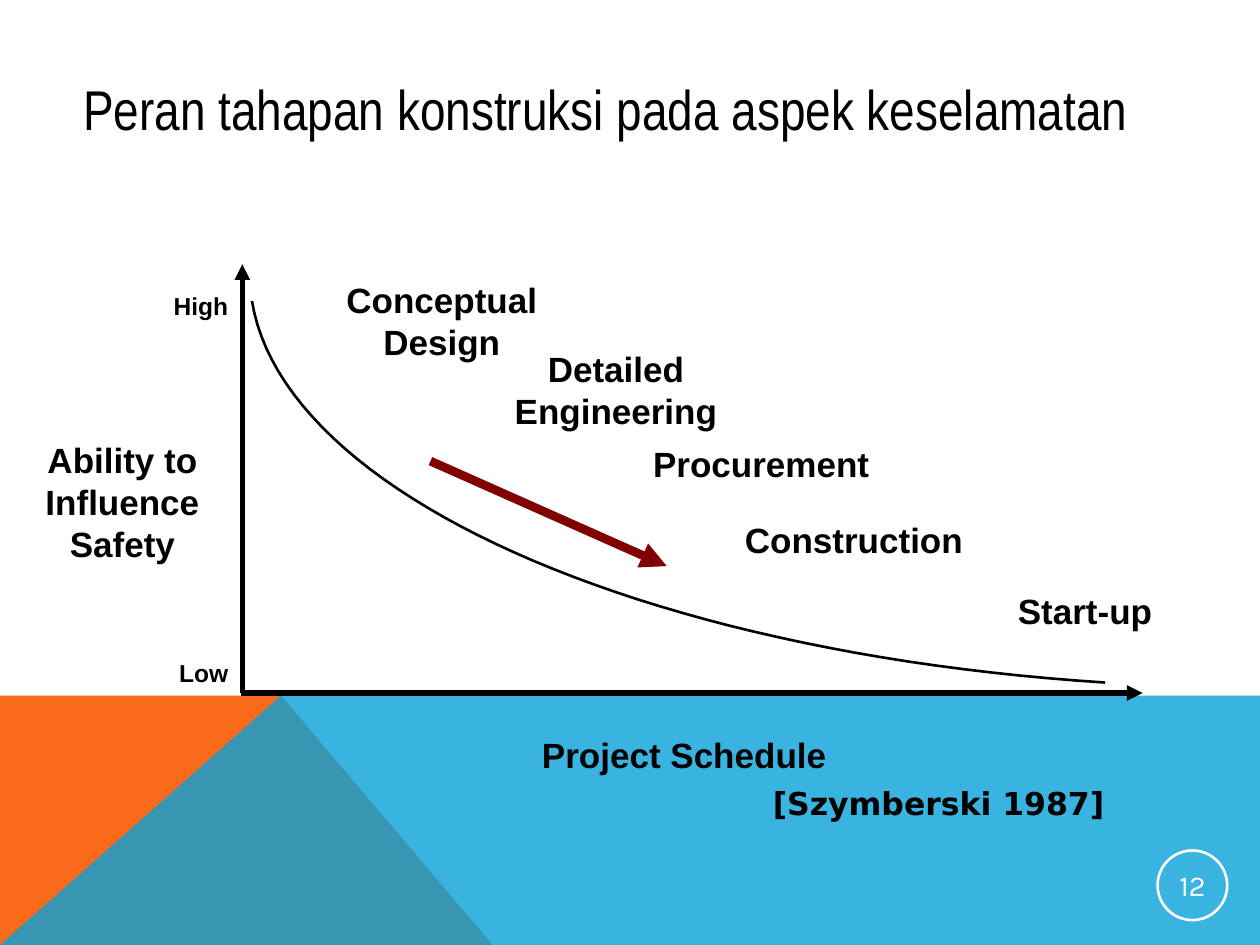
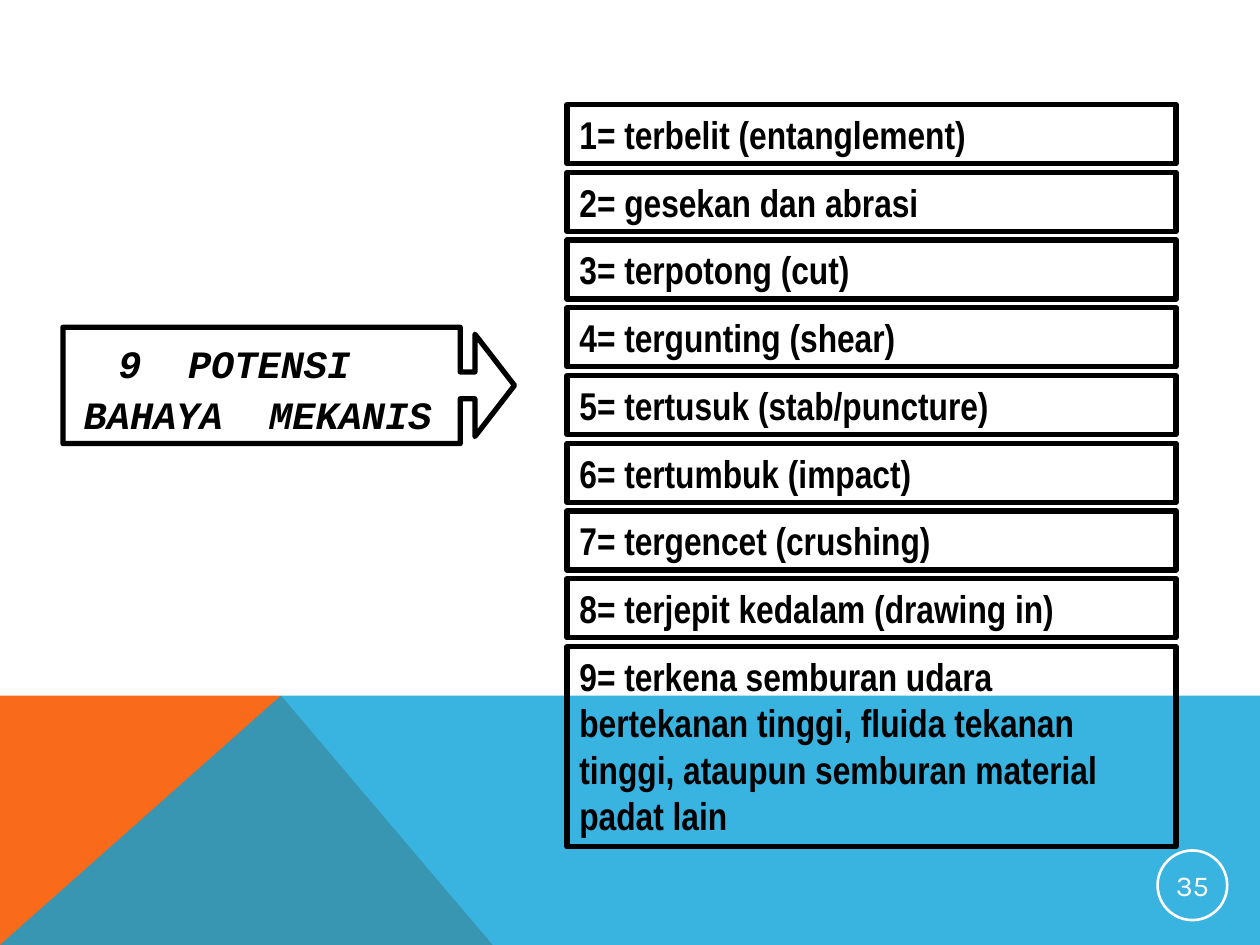
"""Build two slides on construction safety: influence curve and mechanical hazards."""
from dataclasses import dataclass

import pptx
import pptx.util
import pptx.dml.color
import pptx.enum.shapes
import pptx.enum.text
import pptx.oxml
import pptx.oxml.ns
from lxml import etree

Pt = pptx.util.Pt
Shape = pptx.enum.shapes.MSO_SHAPE
Align = pptx.enum.text.PP_ALIGN
Anchor = pptx.enum.text.MSO_ANCHOR


@dataclass(frozen=True)
class Theme:
    black: str = "000000"
    white: str = "FFFFFF"
    orange: str = "F96A1B"
    blue: str = "08A1D9"
    red: str = "800000"
    sans: str = "Arial"
    narrow: str = "Arial Narrow"
    mono: str = "Courier New"
    source: str = "DejaVu Sans"
    number: str = "Karla"
    title_size: float = 32
    hazard_size: float = 22.1
    label_size: float = 20
    source_size: float = 18
    number_size: float = 16.5
    tick_size: float = 14
    heavy: float = 3
    thin: float = 1.5


THEME = Theme()
WIDTH, HEIGHT, BAND_TOP = 720, 540, 397.5
HAZARDS = (
    "terbelit (entanglement)",
    "gesekan dan abrasi",
    "terpotong (cut)",
    "tergunting (shear)",
    "tertusuk (stab/puncture)",
    "tertumbuk (impact)",
    "tergencet (crushing)",
    "terjepit kedalam (drawing in)",
    "terkena semburan udara bertekanan tinggi, fluida tekanan tinggi, "
    "ataupun semburan material padat lain",
)
LABELS = (
    ("Conceptual Design", 252.5, 183, 160),
    ("Detailed Engineering", 352, 222.5, 160),
    ("Procurement", 435, 265, 150),
    ("Construction", 488, 308, 150),
    ("Start-up", 620, 349, 110),
    ("Ability to Influence Safety", 70, 286.5, 116),
    ("Project Schedule", 391, 431, 194),
)


def rgb(code):
    return pptx.dml.color.RGBColor.from_string(code)


def bezier(start, first, second, end, steps=48):
    points = []
    for step in range(steps + 1):
        t = step / steps
        weights = ((1 - t) ** 3, 3 * t * (1 - t) ** 2, 3 * t * t * (1 - t), t ** 3)
        points.append(tuple(
            sum(weight * value for weight, value in zip(weights, values))
            for values in zip(start, first, second, end)
        ))
    return points


class Painter:
    def __init__(self, deck, theme):
        self.deck = deck
        self.theme = theme
        self.page = None

    def new_page(self, title=None):
        layout = self.deck.slide_layouts[5 if title else 6]
        self.page = self.deck.slides.add_slide(layout)
        middle, peak = 281.5, 160.6
        self.outline(((0, HEIGHT), (0, BAND_TOP), (peak, BAND_TOP), (middle, HEIGHT)),
                     fill=self.theme.orange)
        self.outline(((0, HEIGHT), (peak, BAND_TOP), (WIDTH, BAND_TOP), (WIDTH, HEIGHT)),
                     fill=self.theme.blue, opacity=80)
        if title:
            self.title(title)

    def title(self, text):
        box = self.page.shapes.title
        box.left, box.top, box.width, box.height = Pt(40.3), Pt(39), Pt(618), Pt(46)
        self.set_text(box, text, self.theme.narrow, self.theme.title_size, wrap=False)

    def set_text(self, box, text, font, size, bold=False, align=Align.LEFT,
                 anchor=Anchor.MIDDLE, color=None, wrap=True):
        frame = box.text_frame
        frame.word_wrap = wrap
        frame.vertical_anchor = anchor
        frame.text = text
        self.style(frame.paragraphs[0], font, size, bold, align, color)

    def style(self, para, font, size, bold, align, color=None):
        para.alignment = align
        para.space_before = Pt(0)
        para.font.name = font
        para.font.size = Pt(size)
        para.font.bold = bold
        para.font.color.rgb = rgb(color or self.theme.black)

    def label(self, text, left, top, width, height, **look):
        box = self.page.shapes.add_textbox(Pt(left), Pt(top), Pt(width), Pt(height))
        self.set_text(box, text, **look)

    def paint(self, shape, fill=None, line=None, weight=0):
        shape.shadow.inherit = False
        if fill:
            shape.fill.solid()
            shape.fill.fore_color.rgb = rgb(fill)
        else:
            shape.fill.background()
        if line:
            shape.line.color.rgb = rgb(line)
            shape.line.width = Pt(weight)
        else:
            shape.line.fill.background()

    def preset(self, kind, left, top, width, height, **paint):
        shape = self.page.shapes.add_shape(kind, Pt(left), Pt(top), Pt(width), Pt(height))
        self.paint(shape, **paint)
        return shape

    def outline(self, points, close=True, opacity=100, **paint):
        points = [(Pt(x), Pt(y)) for x, y in points]
        builder = self.page.shapes.build_freeform(*points[0])
        builder.add_line_segments(points[1:], close=close)
        shape = builder.convert_to_shape()
        self.paint(shape, **paint)
        if opacity < 100:
            color = shape._element.spPr.find(".//" + pptx.oxml.ns.qn("a:srgbClr"))
            etree.SubElement(color, pptx.oxml.ns.qn("a:alpha"), val=str(opacity * 1000))

    def arrow(self, start, end, color, weight):
        connector = self.page.shapes.add_connector(
            pptx.enum.shapes.MSO_CONNECTOR.STRAIGHT, *map(Pt, start + end))
        connector.line.color.rgb = rgb(color)
        connector.line.width = Pt(weight)
        line = connector._element.spPr.find(pptx.oxml.ns.qn("a:ln"))
        etree.SubElement(line, pptx.oxml.ns.qn("a:tailEnd"), type="triangle")
        etree.SubElement(connector._element.spPr, pptx.oxml.ns.qn("a:effectLst"))

    def spaced_words(self, left, top, width, height, lines, shift):
        theme = self.theme
        box = self.page.shapes.add_textbox(Pt(left), Pt(top), Pt(width), Pt(height))
        frame = box.text_frame
        frame.word_wrap = True
        for index, (first, last) in enumerate(lines):
            para = frame.add_paragraph() if index else frame.paragraphs[0]
            self.style(para, theme.mono, theme.hazard_size, True, Align.CENTER)
            para.font.italic = True
            if index:
                para.space_before = Pt(3)
                para._p.get_or_add_pPr().set("marL", str(Pt(shift)))
            for text in (first, " ", last):
                span = para.add_run()
                span.text = text
                if text == " ":
                    span._r.get_or_add_rPr().set("spc", "1326")

    def page_number(self, number):
        theme = self.theme
        circle = self.preset(Shape.OVAL, 661.5, 486, 39.8, 39.8,
                             line=theme.white, weight=theme.thin)
        frame = circle.text_frame
        frame.margin_left = frame.margin_right = Pt(0.7)
        frame.margin_top = frame.margin_bottom = Pt(0.7)
        self.set_text(circle, str(number), theme.number, theme.number_size,
                      align=Align.CENTER, color=theme.white)


def influence_curve(painter):
    theme = painter.theme
    painter.new_page("Peran tahapan konstruksi pada aspek keselamatan")
    for text, center, middle, width in LABELS:
        painter.label(text, center - width / 2, middle - 12, width, 24,
                      font=theme.sans, size=theme.label_size, bold=True, align=Align.CENTER)
    for text, middle in (("High", 174.5), ("Low", 384.5)):
        painter.label(text, 80, middle - 12, 57.5, 24, font=theme.sans,
                      size=theme.tick_size, bold=True, align=Align.RIGHT)
    painter.arrow((138.5, 396), (138.5, 151), theme.black, theme.heavy)
    painter.arrow((137.5, 396), (653, 396), theme.black, theme.heavy)
    curve = bezier((631.5, 390), (364.5, 373), (162, 282), (144, 172))
    painter.outline(curve, close=False, line=theme.black, weight=theme.thin)
    painter.arrow((246, 263.5), (381, 323.5), theme.red, 5)
    painter.label("[Szymberski 1987]", 434.5, 444.5, 209.5, 29, font=theme.source,
                  size=theme.source_size, bold=True, wrap=False)
    painter.page_number(12)


def mechanical_hazards(painter):
    theme = painter.theme
    painter.new_page()
    callout = painter.preset(Shape.RIGHT_ARROW_CALLOUT, 36, 187, 258, 66.5,
                             fill=theme.white, line=theme.black, weight=theme.heavy)
    for index, value in enumerate((0.226, 0.439, 0.343, 0.883)):
        callout.adjustments[index] = round(value, 2)
    shift = 26.5
    painter.spaced_words(30.2 - shift, 190.5, 234 + shift, 62.5,
                         (("9", "POTENSI"), ("BAHAYA", "MEKANIS")), shift)
    for index, hazard in enumerate(HAZARDS):
        height = 114.5 if index == len(HAZARDS) - 1 else 33.8
        box = painter.preset(Shape.RECTANGLE, 324, 59.8 + 38.7 * index, 348, height,
                             line=theme.black, weight=theme.heavy)
        painter.set_text(box, f"{index + 1}= {hazard}", theme.narrow, theme.hazard_size,
                         bold=True, anchor=Anchor.TOP)
    painter.page_number(35)


def main():
    deck = pptx.Presentation()
    deck.slide_width, deck.slide_height = Pt(WIDTH), Pt(HEIGHT)
    painter = Painter(deck, THEME)
    influence_curve(painter)
    mechanical_hazards(painter)
    deck.save("out.pptx")


if __name__ == "__main__":
    main()
